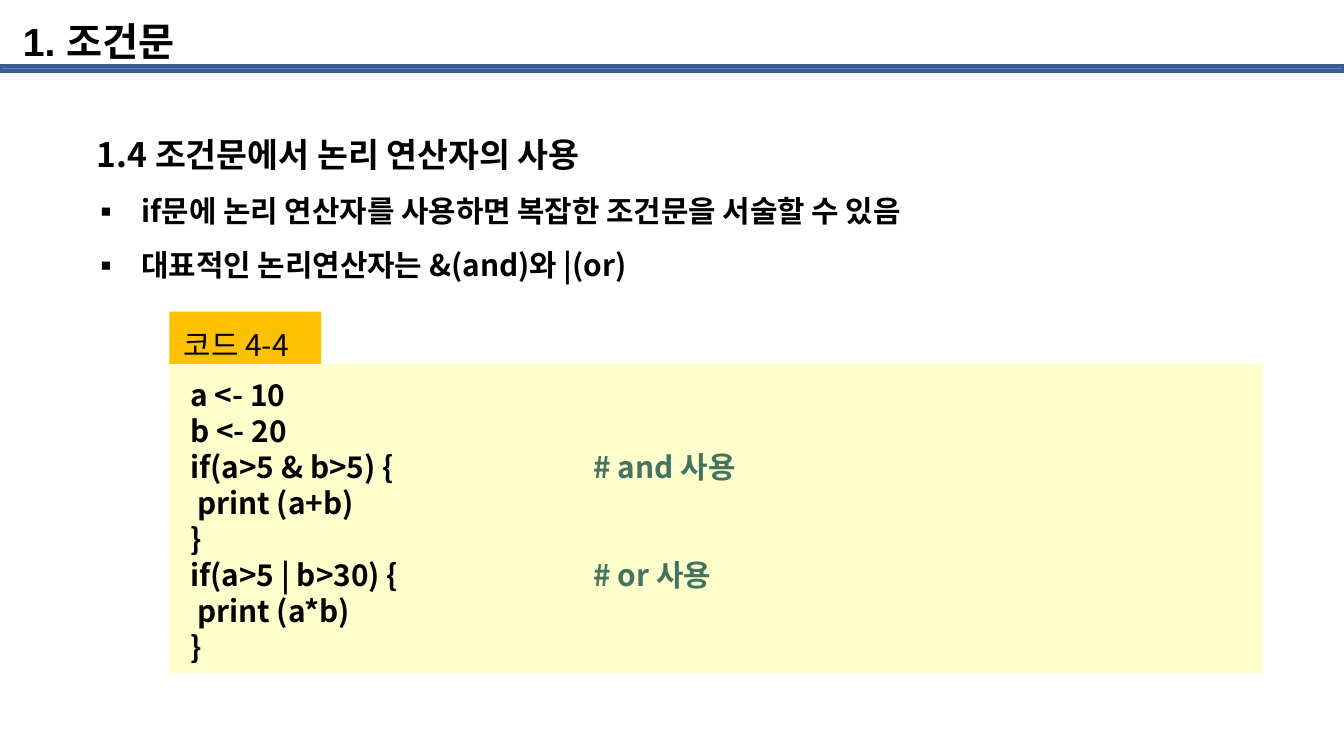
"""Build a lecture slide on logical operators in conditional statements."""
from lxml import etree
from pptx import Presentation
from pptx.dml.color import RGBColor
from pptx.enum.shapes import MSO_SHAPE
from pptx.enum.text import MSO_ANCHOR, PP_ALIGN
from pptx.oxml.ns import qn
from pptx.util import Pt

RECTANGLE = MSO_SHAPE.RECTANGLE
TOP = MSO_ANCHOR.TOP
LEFT = PP_ALIGN.LEFT
KOREAN_FONT = "Noto Sans CJK KR"
BLACK = "000000"
COMMENT_GREEN = "437361"
CODE_LINES = [
    ("a <- 10", ""),
    ("b <- 20", ""),
    ("if(a>5 & b>5) {", "# and 사용"),
    (" print (a+b)", ""),
    ("}", ""),
    ("if(a>5 | b>30) {", "# or 사용"),
    (" print (a*b)", ""),
    ("}", ""),
]
BULLETS = [
    "if문에 논리 연산자를 사용하면 복잡한 조건문을 서술할 수 있음",
    "대표적인 논리연산자는 &(and)와 |(or)",
]


def color(value):
    """Return the colour for a hex string."""
    return RGBColor.from_string(value)


def add_rectangle(slide, left, top, width, height, fill, line=None):
    """Add a flat rectangle, outlined when a line colour is given."""
    shape = slide.shapes.add_shape(RECTANGLE, Pt(left), Pt(top), Pt(width), Pt(height))
    shape.shadow.inherit = False
    shape.fill.solid()
    shape.fill.fore_color.rgb = color(fill)
    if line:
        shape.line.color.rgb = color(line)
        shape.line.width = Pt(2)
    else:
        shape.line.fill.background()


def set_frame(shape, wrap=True, side_inset=7.2, top_inset=3.6):
    """Set the wrapping and insets of a shape and return its text frame."""
    frame = shape.text_frame
    frame.word_wrap = wrap
    frame.vertical_anchor = TOP
    frame.margin_left = frame.margin_right = Pt(side_inset)
    frame.margin_top, frame.margin_bottom = Pt(top_inset), Pt(3.6)
    return frame


def add_text_box(slide, left, top, width, height, **frame_format):
    """Add a text box and return its text frame."""
    shape = slide.shapes.add_textbox(Pt(left), Pt(top), Pt(width), Pt(height))
    return set_frame(shape, **frame_format)


def add_run(paragraph, text, size=16, bold=True, font=KOREAN_FONT, ink=BLACK):
    """Add a formatted run for Latin and Korean text."""
    run = paragraph.add_run()
    run.text = text
    run.font.size = Pt(size)
    run.font.bold = bold
    run.font.name = font
    run.font.color.rgb = color(ink)
    east_asian = etree.SubElement(run.font._element, qn("a:ea"))
    east_asian.set("typeface", KOREAN_FONT)


def add_paragraph(frame, text, spacing=19.3, **run_format):
    """Fill the empty first paragraph or append one, and return it."""
    paragraph = frame.paragraphs[0]
    if paragraph.runs:
        paragraph = frame.add_paragraph()
    paragraph.alignment = LEFT
    paragraph.line_spacing = Pt(spacing)
    add_run(paragraph, text, **run_format)
    return paragraph


def set_indent(paragraph, margin, hanging=0, bullet=None):
    """Set the left margin, hanging indent and optional bullet."""
    properties = paragraph._p.get_or_add_pPr()
    properties.set("marL", str(Pt(margin)))
    properties.set("indent", str(Pt(-hanging)))
    if bullet:
        etree.SubElement(properties, qn("a:buFont")).set("typeface", KOREAN_FONT)
        etree.SubElement(properties, qn("a:buChar")).set("char", bullet)


def add_comment(paragraph, text):
    """Add a green code comment at a tab stop."""
    tabs = etree.SubElement(paragraph._p.get_or_add_pPr(), qn("a:tabLst"))
    etree.SubElement(tabs, qn("a:tab"), pos=str(Pt(216)), algn="l")
    add_run(paragraph, "\t" + text, ink=COMMENT_GREEN)


def add_title(slide, text):
    """Place and format the slide title."""
    title = slide.shapes.title
    title.left, title.top, title.width, title.height = Pt(7.2), Pt(5), Pt(620.6), Pt(40.3)
    frame = set_frame(title, side_inset=5, top_inset=2.9)
    add_paragraph(frame, text, spacing=26.5, size=21, font="Arial")


def add_body(slide):
    """Add the section heading and its bullets."""
    frame = add_text_box(slide, 33.8, 35.3, 673.2, 334.8, top_inset=29.3)
    heading = add_paragraph(frame, "1.4 조건문에서 논리 연산자의 사용", spacing=29, size=18)
    set_indent(heading, 11)
    for text in BULLETS:
        set_indent(add_paragraph(frame, text, spacing=29), 35, 27, "▪")


def add_code(slide):
    """Add the labelled code panel."""
    add_rectangle(slide, 90.7, 167, 81.4, 28.1, "FFC000")
    add_rectangle(slide, 90.7, 195.1, 586.1, 165.6, "FFFFCC")
    label = add_text_box(slide, 91.4, 171.4, 77, 26.6, wrap=False)
    add_paragraph(label, "코드 4-4", bold=False)
    frame = add_text_box(slide, 95, 198, 558.7, 162.7)
    for code, comment in CODE_LINES:
        paragraph = add_paragraph(frame, code)
        if comment:
            add_comment(paragraph, comment)


def main():
    """Build and save the presentation."""
    presentation = Presentation()
    presentation.slide_width, presentation.slide_height = Pt(720), Pt(405)
    slide = presentation.slides.add_slide(presentation.slide_layouts[5])
    add_rectangle(slide, 0, 35.3, 720, 2.9, "4F81BD", line="3A5F8C")
    add_body(slide)
    add_code(slide)
    add_title(slide, "1. 조건문")
    presentation.save("out.pptx")


if __name__ == "__main__":
    main()
